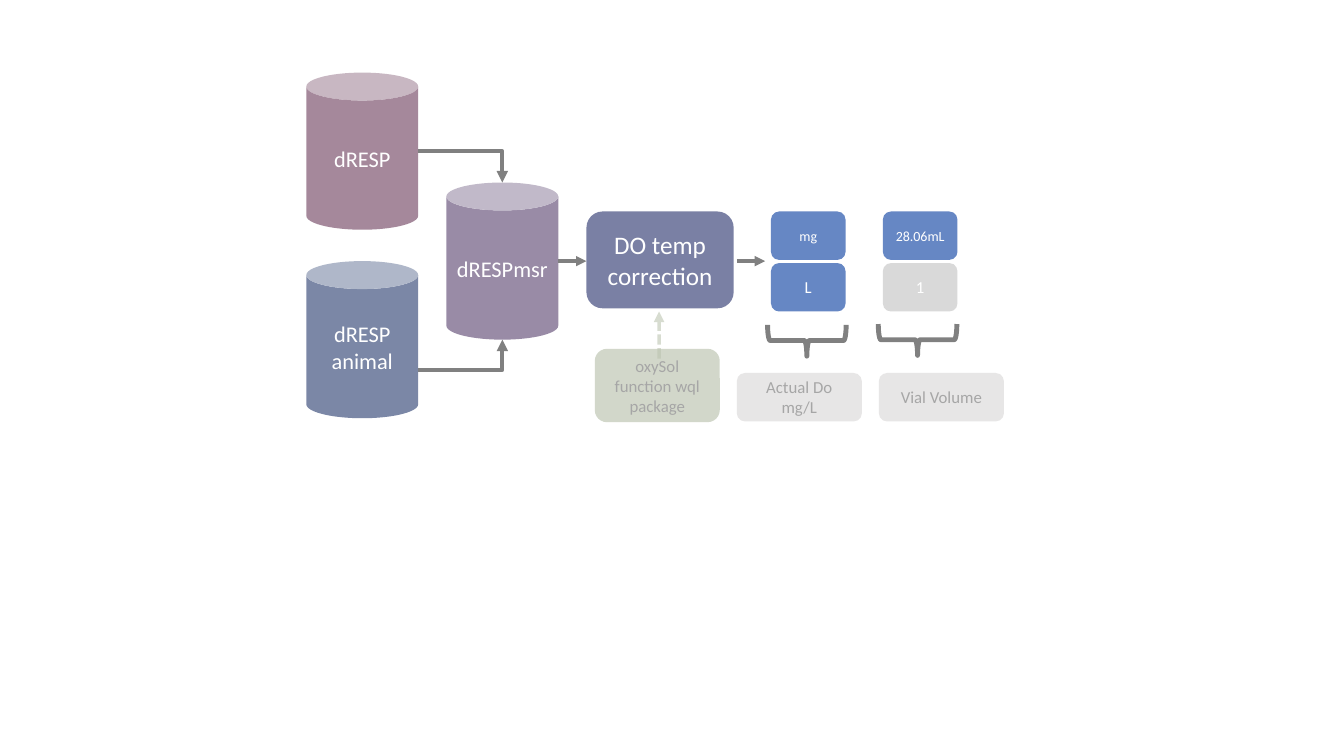
from lxml.etree import SubElement
from pptx import Presentation
from pptx.dml.color import RGBColor
from pptx.enum.dml import MSO_LINE
from pptx.enum.shapes import MSO_CONNECTOR, MSO_SHAPE
from pptx.enum.text import MSO_ANCHOR, PP_ALIGN
from pptx.oxml.ns import qn
from pptx.util import Cm, Pt

WHITE = RGBColor(0xFF, 0xFF, 0xFF)
GREY = RGBColor(0x80, 0x80, 0x80)
LABEL_TEXT = RGBColor(0xA6, 0xA6, 0xA6)
LABEL_FILL = RGBColor(0xE7, 0xE6, 0xE6)
MAUVE = RGBColor(0x7F, 0x56, 0x71)
VIOLET = RGBColor(0x99, 0x8B, 0xA6)
SLATE = RGBColor(0x7B, 0x87, 0xA6)
INDIGO = RGBColor(0x7A, 0x80, 0xA4)
BLUE = RGBColor(0x66, 0x87, 0xC4)
SILVER = RGBColor(0xD9, 0xD9, 0xD9)
SAGE = RGBColor(0xBA, 0xC3, 0xAE)

# Lengths are in centimetres.
CAN_SIZE = (2.82, 3.96)
CELL_SIZE = (1.88, 1.22)
LABEL_SIZE = (3.15, 1.22)
BRACE_SIZE = (0.79, 1.98)
CELL_PITCH = 1.3
CORRECTION_AT = (14.78, 5.33)
CORRECTION_SIZE = (3.71, 2.44)
PACKAGE_AT = (14.99, 8.79)
PACKAGE_SIZE = (3.15, 1.85)
LABEL_TOP = 9.4
FLOW_Y = 6.58

# lines, left, top, fill, opacity in percent
DATABASES = [
    (["dRESPmsr"], 11.25, 4.6, VIOLET, 100),
    (["dRESP"], 7.72, 1.83, MAUVE, 70),
    (["dRESP", "animal"], 7.72, 6.58, SLATE, 100),
]

# cells (text, fill, point size), cell left, brace left and top, label, label left
RATIOS = [
    ([("mg", BLUE, 10), ("L", BLUE, 12)], 19.43, (19.94, 7.59), "Actual Do mg/L", 18.57),
    ([("28.06mL", BLUE, 10), ("1", SILVER, 12)], 22.25, (22.73, 7.57), "Vial Volume", 22.15),
]

prs = Presentation()
prs.slide_width, prs.slide_height = Cm(33.87), Cm(19.05)
slide = prs.slides.add_slide(prs.slide_layouts[6])
shapes = slide.shapes


def set_opacity(color_parent, percent):
    color = color_parent.find(".//" + qn("a:srgbClr"))
    SubElement(color, qn("a:alpha")).set("val", str(percent * 1000))


def add_block(preset, at, size, lines, fill, points, color=WHITE, opacity=100):
    block = shapes.add_shape(preset, *map(Cm, at + size))
    block.shadow.inherit = False
    block.fill.solid()
    block.fill.fore_color.rgb = fill
    block.line.fill.background()
    if opacity < 100:
        set_opacity(block._element.spPr, opacity)
    frame = block.text_frame
    frame.word_wrap = True
    frame.vertical_anchor = MSO_ANCHOR.MIDDLE
    for index, line in enumerate(lines):
        paragraph = frame.add_paragraph() if index else frame.paragraphs[0]
        paragraph.alignment = PP_ALIGN.CENTER
        run = paragraph.add_run()
        run.text = line
        run.font.name = "Calibri"
        run.font.size = Pt(points)
        run.font.color.rgb = color


def add_arrow(start, end, width=2.5, color=GREY, bent=False):
    kind = MSO_CONNECTOR.ELBOW if bent else MSO_CONNECTOR.STRAIGHT
    arrow = shapes.add_connector(kind, *map(Cm, start + end))
    properties = arrow._element.spPr
    if bent:
        properties.find(qn("a:prstGeom")).set("prst", "bentConnector2")
    arrow.line.color.rgb = color
    arrow.line.width = Pt(width)
    SubElement(properties, qn("a:effectLst"))
    return arrow


def add_arrowhead(arrow):
    SubElement(arrow.line._get_or_add_ln(), qn("a:tailEnd")).set("type", "triangle")


def add_brace(at):
    brace = shapes.add_shape(MSO_SHAPE.LEFT_BRACE, *map(Cm, at + BRACE_SIZE))
    brace.rotation = 270
    brace.shadow.inherit = False
    brace.fill.background()
    brace.line.color.rgb = GREY
    brace.line.width = Pt(3.5)


for lines, left, top, fill, opacity in DATABASES:
    add_block(MSO_SHAPE.CAN, (left, top), CAN_SIZE, lines, fill, 16, opacity=opacity)

_, merged_left, merged_top, _, _ = DATABASES[0]
source_right = DATABASES[1][1] + CAN_SIZE[0]
merged_middle = merged_left + CAN_SIZE[0] / 2
merged_bottom = merged_top + CAN_SIZE[1]
for source_y, merged_edge in [(3.81, merged_top), (9.33, merged_bottom)]:
    add_arrowhead(add_arrow((source_right, source_y), (merged_middle, merged_edge), 2.75, bent=True))

add_block(MSO_SHAPE.ROUNDED_RECTANGLE, CORRECTION_AT, CORRECTION_SIZE,
          ["DO temp correction"], INDIGO, 18)

for cells, cell_left, brace_at, label, label_left in RATIOS:
    for row, (text, fill, points) in enumerate(cells):
        cell_at = (cell_left, CORRECTION_AT[1] + row * CELL_PITCH)
        add_block(MSO_SHAPE.ROUNDED_RECTANGLE, cell_at, CELL_SIZE, [text], fill, points)
    add_brace(brace_at)
    add_block(MSO_SHAPE.ROUNDED_RECTANGLE, (label_left, LABEL_TOP), LABEL_SIZE,
              [label], LABEL_FILL, 12, LABEL_TEXT)

for start_x, end_x in [(merged_left + CAN_SIZE[0], CORRECTION_AT[0]), (18.57, 19.28)]:
    add_arrowhead(add_arrow((start_x, FLOW_Y), (end_x, FLOW_Y)))

add_block(MSO_SHAPE.ROUNDED_RECTANGLE, PACKAGE_AT, PACKAGE_SIZE,
          ["oxySol function wql package"], SAGE, 12, LABEL_TEXT, 65)
package_arrow = add_arrow((16.61, 9.04), (16.61, 7.85), color=SAGE)
package_arrow.line.dash_style = MSO_LINE.SQUARE_DOT
set_opacity(package_arrow.line._get_or_add_ln(), 56)
add_arrowhead(package_arrow)

prs.save("out.pptx")
